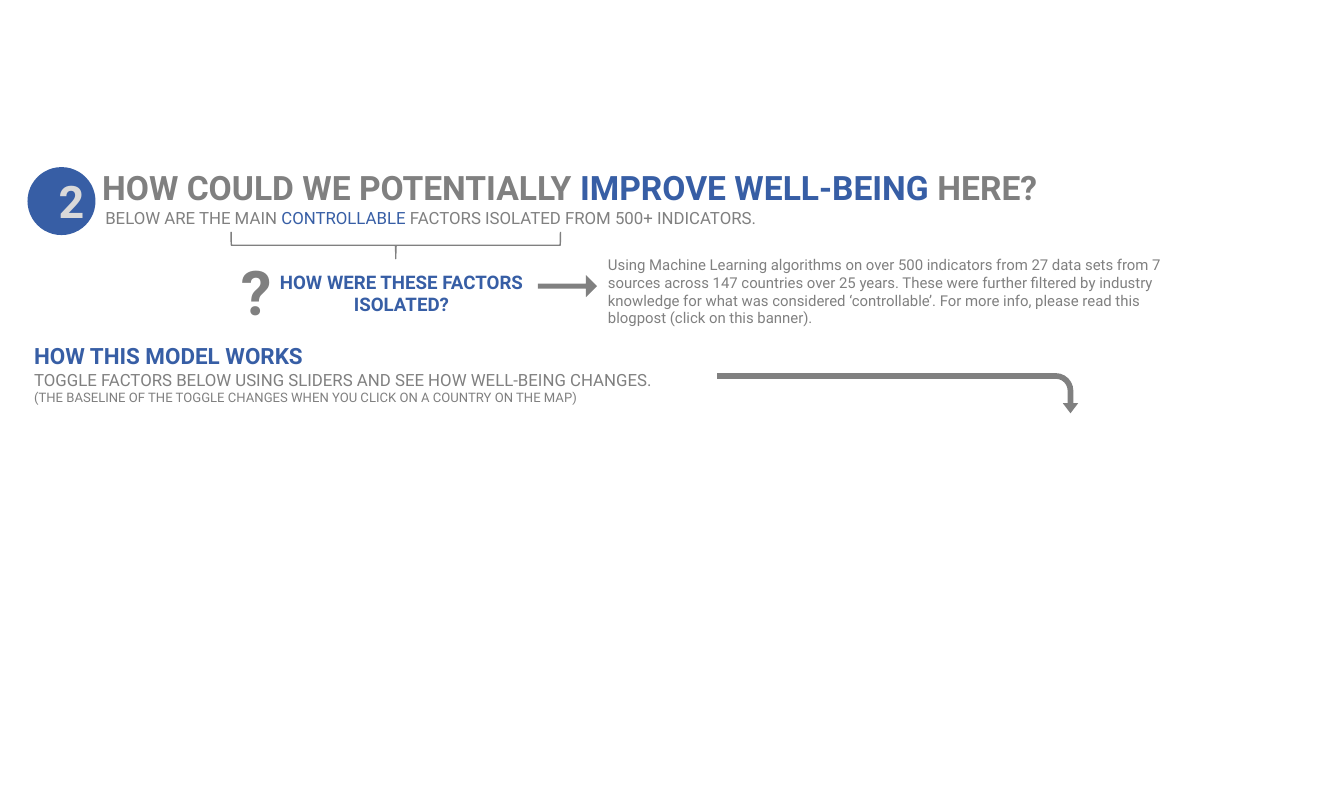
from pptx import Presentation
from pptx.dml.color import RGBColor
from pptx.enum.shapes import MSO_SHAPE as Preset
from pptx.enum.text import MSO_ANCHOR as Anchor, MSO_AUTO_SIZE as AutoSize, PP_ALIGN as Align
from pptx.util import Cm, Pt

GRAY, BLUE, DARK, PALE = "808080", "375EA5", "7F7F7F", "D9D9D9"

SLIDE_SIZE = (50.8, 30.48)

FORMATS = {
    "badge": {"size": Pt(48), "bold": True},
    "title": {"size": Pt(36), "bold": True},
    "subtitle": {"size": Pt(18), "bold": False},
    "question": {"size": Pt(20), "bold": True},
    "mark": {"size": Pt(66), "bold": True},
    "answer": {"size": Pt(16), "bold": False},
    "heading": {"size": Pt(24), "bold": True},
    "note": {"size": Pt(14), "bold": False},
}

BADGE = [("badge", [("2", PALE)])]

SHAPES = [
    (Preset.OVAL, (1.04, 6.32, 2.57, 2.57), 0, (), BLUE, None, BADGE),
    (Preset.LEFT_BRACE, (14.45, 3.05, 1.02, 12.45), 270, (0.015, 0.5), None, GRAY, []),
    (Preset.DOWN_ARROW, (21.03, 9.7, 0.84, 2.24), 270, (0.235, 0.5), GRAY, None, []),
    (Preset.BENT_ARROW, (33.17, 8.05, 1.52, 13.64), 90, (0.142, 0.19, 0.25, 0.438), GRAY, None, []),
]

TEXTS = [
    ((3.61, 6.17, 45.39, 1.8), Align.LEFT, [
        ("title", [("HOW COULD WE POTENTIALLY ", GRAY), ("IMPROVE WELL-BEING ", BLUE), ("HERE?", DARK)]),
    ]),
    ((3.73, 7.72, 39.27, 1.02), Align.LEFT, [
        ("subtitle", [("BELOW ARE THE MAIN ", GRAY), ("CONTROLLABLE", BLUE),
                      (" FACTORS ISOLATED FROM 500+ INDICATORS.", GRAY)]),
    ]),
    ((10.03, 10.11, 10.29, 1.96), Align.CENTER, [
        ("question", [("HOW WERE THESE FACTORS ISOLATED?", BLUE)]),
    ]),
    ((8.86, 9.47, 1.96, 3.07), Align.LEFT, [("mark", [("?", GRAY)])]),
    ((22.73, 9.53, 22.4, 3), Align.LEFT, [
        ("answer", [("Using Machine Learning algorithms on over 500 indicators from 27 data sets "
                     "from 7 sources across 147 countries over 25 years. These were further filtered "
                     "by industry knowledge for what was considered ‘controllable’. For more info, "
                     "please read this blogpost (click on this banner).", GRAY)]),
    ]),
    ((1.04, 12.83, 39.27, 4.19), Align.LEFT, [
        ("heading", [("HOW THIS MODEL WORKS", BLUE)]),
        ("subtitle", [("TOGGLE FACTORS BELOW USING SLIDERS AND SEE HOW WELL-BEING CHANGES.", GRAY)]),
        ("note", [("(THE BASELINE OF THE TOGGLE CHANGES WHEN YOU CLICK ON A COUNTRY ON THE MAP)", GRAY)]),
    ]),
]

BADGE_FRAME = {
    "vertical_anchor": Anchor.MIDDLE,
    "margin_left": Cm(1.02),
    "margin_right": Cm(1.02),
    "margin_top": Cm(0.51),
    "margin_bottom": Cm(0.51),
}
TEXT_FRAME = {"auto_size": AutoSize.SHAPE_TO_FIT_TEXT}


def paint(color, value):
    color.rgb = RGBColor.from_string(value)


def apply(target, values):
    for name, value in values.items():
        setattr(target, name, value)


def write(frame, lines, align, settings):
    apply(frame, {"word_wrap": True, **settings})
    for index, (style, runs) in enumerate(lines):
        line = frame.add_paragraph() if index else frame.paragraphs[0]
        line.alignment = align
        for words, color in runs:
            run = line.add_run()
            run.text = words
            apply(run.font, {"name": "Roboto", **FORMATS[style]})
            paint(run.font.color, color)


def draw(slide, preset, place, turn, bends, fill, outline, lines):
    shape = slide.shapes.add_shape(preset, *map(Cm, place))
    shape.rotation = turn
    shape.shadow.inherit = False
    for index, bend in enumerate(bends):
        shape.adjustments[index] = bend
    if fill:
        shape.fill.solid()
        paint(shape.fill.fore_color, fill)
    else:
        shape.fill.background()
    if outline:
        paint(shape.line.color, outline)
        shape.line.width = Pt(1.5)
    else:
        shape.line.fill.background()
    if lines:
        write(shape.text_frame, lines, Align.CENTER, BADGE_FRAME)


def main():
    deck = Presentation()
    deck.slide_width, deck.slide_height = map(Cm, SLIDE_SIZE)
    slide = deck.slides.add_slide(deck.slide_layouts[6])
    for details in SHAPES:
        draw(slide, *details)
    for place, align, lines in TEXTS:
        write(slide.shapes.add_textbox(*map(Cm, place)).text_frame, lines, align, TEXT_FRAME)
    deck.save("out.pptx")


if __name__ == "__main__":
    main()
